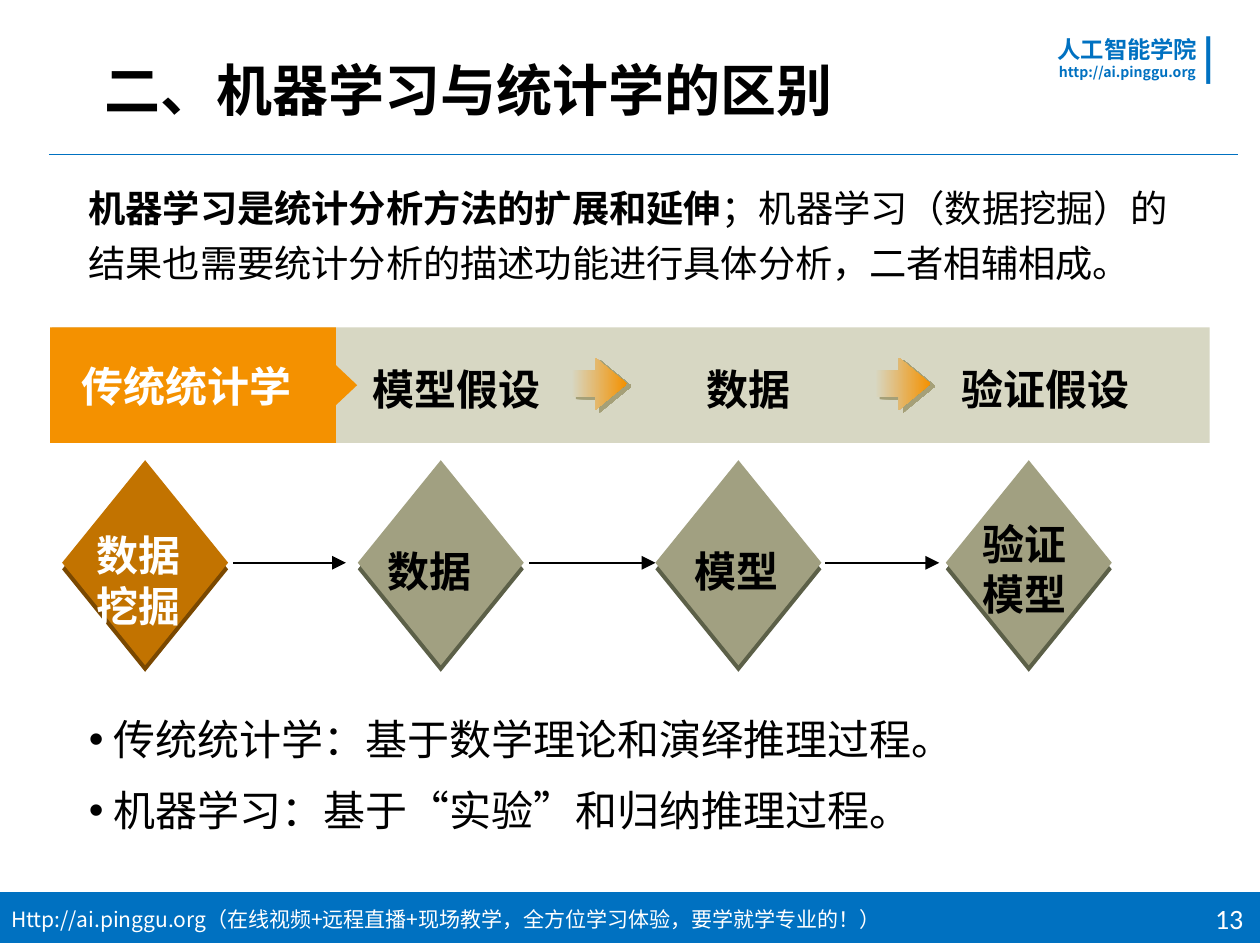
from lxml import etree
from pptx import Presentation
from pptx import util as u
from pptx.dml.color import RGBColor
from pptx.enum import shapes, text
from pptx.oxml import ns

BLUE = RGBColor(0x00, 0x71, 0xC1)
WHITE = RGBColor(0xFF, 0xFF, 0xFF)
BLACK = RGBColor(0x00, 0x00, 0x00)
ORANGE = RGBColor(0xF4, 0x91, 0x00)
SAND = RGBColor(0xD7, 0xD7, 0xC3)
RUST = RGBColor(0xC2, 0x73, 0x00)
RUST_EDGE = RGBColor(0x7A, 0x48, 0x00)
OLIVE = RGBColor(0xA1, 0xA0, 0x81)
OLIVE_EDGE = RGBColor(0x5C, 0x60, 0x48)
NOTO = "Noto Sans CJK SC"

TITLE = "二、机器学习与统计学的区别"
INTRO = ("机器学习是统计分析方法的扩展和延伸",
         "；机器学习（数据挖掘）的结果也需要统计分析的描述功能进行具体分析，二者相辅相成。")
BULLETS = ["传统统计学：基于数学理论和演绎推理过程。",
           "机器学习：基于“实验”和归纳推理过程。"]
FOOTER = "Http://ai.pinggu.org（在线视频+远程直播+现场教学，全方位学习体验，要学就学专业的！）"
SCHOOL = [("人工智能学院", 10), ("http://ai.pinggu.org", 6)]
PAGE = "13"
STATISTICS = "传统统计学"
STATISTICS_STEPS = [("模型假设", 6.91), ("数据", 11.32), ("验证假设", 15.81)]
STEP_ARROWS = [8.64, 13.23]
MINING_STEPS = [
    ("数据挖掘", 0.94, 2.1, 7.89, RUST, RUST_EDGE, WHITE),
    ("数据", 5.41, 6.49, 8.13, OLIVE, OLIVE_EDGE, BLACK),
    ("模型", 9.91, 11.14, 8.13, OLIVE, OLIVE_EDGE, BLACK),
    ("验证模型", 14.3, 15.49, 7.71, OLIVE, OLIVE_EDGE, BLACK),
]
MINING_LINKS = [(3.53, 5.23, None), (8, 9.91, 2), (12.47, 14.2, None)]
DIAMOND_TOP, DIAMOND_W, DIAMOND_H, EDGE = 6.96, 2.51, 3.1, 0.1
LEADING = 1.2

deck = Presentation()
deck.slide_width, deck.slide_height = u.Cm(19.05), u.Cm(14.29)
slide = deck.slides.add_slide(deck.slide_layouts[1])


def box(left, top, width, height):
    return [u.Cm(v) for v in (left, top, width, height)]


def add_shadow(parent, color, distance, angle, alpha):
    effects = etree.Element(ns.qn("a:effectLst"))
    outer = etree.SubElement(effects, ns.qn("a:outerShdw"), dist=str(u.Pt(distance)),
                             dir=str(angle * 60000), algn="ctr", rotWithShape="0")
    shade = etree.SubElement(outer, ns.qn("a:srgbClr"), val=str(color))
    etree.SubElement(shade, ns.qn("a:alpha"), val=str(alpha * 1000))
    parent.find(ns.qn("a:solidFill") if parent.tag == ns.qn("a:rPr") else ns.qn("a:ln")).addnext(effects)


def style(paragraph, size, color, font=NOTO, bold=False, align=text.PP_ALIGN.LEFT, leading=None):
    paragraph.alignment = align
    paragraph.line_spacing = u.Pt(leading or size * LEADING)
    for run in paragraph.runs:
        run.font.size, run.font.bold, run.font.name = u.Pt(size), bold, font
        run.font.color.rgb = color
        east_asian = etree.Element(ns.qn("a:ea"), typeface=NOTO)
        run.font._element.find(ns.qn("a:latin")).addnext(east_asian)


def place(holder, area):
    holder.left, holder.top, holder.width, holder.height = area
    holder.text_frame.auto_size = text.MSO_AUTO_SIZE.NONE
    holder.text_frame.vertical_anchor = text.MSO_ANCHOR.TOP
    return holder.text_frame


def add_text(content, area, size, color, wrap=True, **look):
    frame = slide.shapes.add_textbox(*area).text_frame
    frame.word_wrap = wrap
    frame.text = content
    style(frame.paragraphs[0], size, color, **look)
    return frame


def add_block(preset, area, color):
    block = slide.shapes.add_shape(preset, *area)
    block.shadow.inherit = False
    block.fill.solid()
    block.fill.fore_color.rgb = color
    block.line.fill.background()
    return block


def add_line(start, end, y, color, width):
    line = slide.shapes.add_connector(shapes.MSO_CONNECTOR.STRAIGHT,
                                      u.Cm(start), u.Cm(y), u.Cm(end), u.Cm(y))
    line.line.color.rgb = color
    line.line.width = u.Pt(width)
    etree.SubElement(line._element.spPr, ns.qn("a:effectLst"))
    return line


preset = shapes.MSO_SHAPE
CENTER = text.PP_ALIGN.CENTER

add_block(preset.RECTANGLE, box(-0.08, 13.49, 19.13, 0.77), BLUE)
add_text(FOOTER, box(-0.08, 13.58, 14.25, 0.64), 9, WHITE, wrap=False)
add_text(PAGE, box(17.45, 13.51, 1.6, 0.76), 12, WHITE, font="Calibri", align=text.PP_ALIGN.RIGHT)
add_line(0.74, 18.72, 2.34, BLUE, 0.5)

school = slide.shapes.add_textbox(*box(15.7, 0.41, 2.69, 0.94)).text_frame
school.word_wrap = False
school.text = "\n".join(line for line, size in SCHOOL)
for paragraph, (line, size) in zip(school.paragraphs, SCHOOL):
    style(paragraph, size, BLUE, bold=True, align=CENTER)
add_text("|", box(17.93, 0.34, 0.91, 1), 18, BLUE, wrap=False, bold=True)

title = place(slide.shapes.title, box(1.32, 0.71, 16.43, 1.57))
title.text = TITLE
style(title.paragraphs[0], 24, BLACK, bold=True)

intro = add_text(INTRO[0], box(1.09, 2.52, 17.12, 1.83), 16, BLACK).paragraphs[0]
intro.add_run().text = INTRO[1]
style(intro, 16, BLACK, leading=23.5)
intro.runs[0].font.bold = True

add_block(preset.RECTANGLE, box(0.79, 4.95, 17.5, 1.75), SAND)
add_block(preset.RECTANGLE, box(0.76, 4.95, 4.32, 1.75), ORANGE)
add_block(preset.ISOSCELES_TRIANGLE, box(4.78, 5.61, 0.81, 0.43), ORANGE).rotation = 90
statistics = add_text(STATISTICS, box(0.74, 5.32, 4.17, 1.02), 18, WHITE,
                      font="Calibri", bold=True, align=CENTER)
add_shadow(statistics.paragraphs[0].runs[0].font._element, BLACK, 1.5, 45, 100)
for step, center in STATISTICS_STEPS:
    add_text(step, box(center - 1.89, 5.38, 3.78, 1.02), 18, BLACK,
             font="Arial", bold=True, align=CENTER)
for left in STEP_ARROWS:
    arrow = add_block(preset.RIGHT_ARROW, box(left, 5.41, 0.84, 0.79), ORANGE)
    arrow.adjustments[0], arrow.adjustments[1] = 0.5, 0.605
    arrow.fill.gradient()
    arrow.fill.gradient_angle = 0
    for stop, color in zip(arrow.fill.gradient_stops, (SAND, ORANGE)):
        stop.color.rgb = color
    properties = arrow._element.spPr
    properties.remove(properties.find(ns.qn("a:effectLst")))
    add_shadow(properties, RGBColor(0x75, 0x6B, 0x2F), 2.2, 27, 50)

diamonds = []
for step, left, center, top, face, edge, ink in MINING_STEPS:
    add_block(preset.DIAMOND, box(left, DIAMOND_TOP + EDGE, DIAMOND_W, DIAMOND_H), edge)
    diamonds.append(add_block(preset.DIAMOND, box(left, DIAMOND_TOP, DIAMOND_W, DIAMOND_H), face))
    add_text(step, box(center - 0.98, top, 1.96, 1.02 if len(step) == 2 else 1.78), 18, ink,
             font="Arial", bold=True, align=CENTER)
for start, end, target in MINING_LINKS:
    link = add_line(start, end, DIAMOND_TOP + DIAMOND_H / 2, BLACK, 0.75)
    if target is not None:
        link.end_connect(diamonds[target], 1)
    etree.SubElement(link.line._get_or_add_ln(), ns.qn("a:tailEnd"), type="triangle")

bullets = place(slide.placeholders[1], box(1.09, 10.66, 17.12, 2.21))
bullets.text = "\n".join(BULLETS)
for index, paragraph in enumerate(bullets.paragraphs):
    settings = paragraph._p.get_or_add_pPr()
    settings.set("marL", str(u.Cm(0.37)))
    settings.set("indent", str(-u.Cm(0.37)))
    etree.SubElement(settings, ns.qn("a:buFont"), typeface="Arial")
    etree.SubElement(settings, ns.qn("a:buChar"), char="•")
    paragraph.space_before = u.Pt(9 if index else 0)
    style(paragraph, 18, BLACK)

deck.save("out.pptx")
